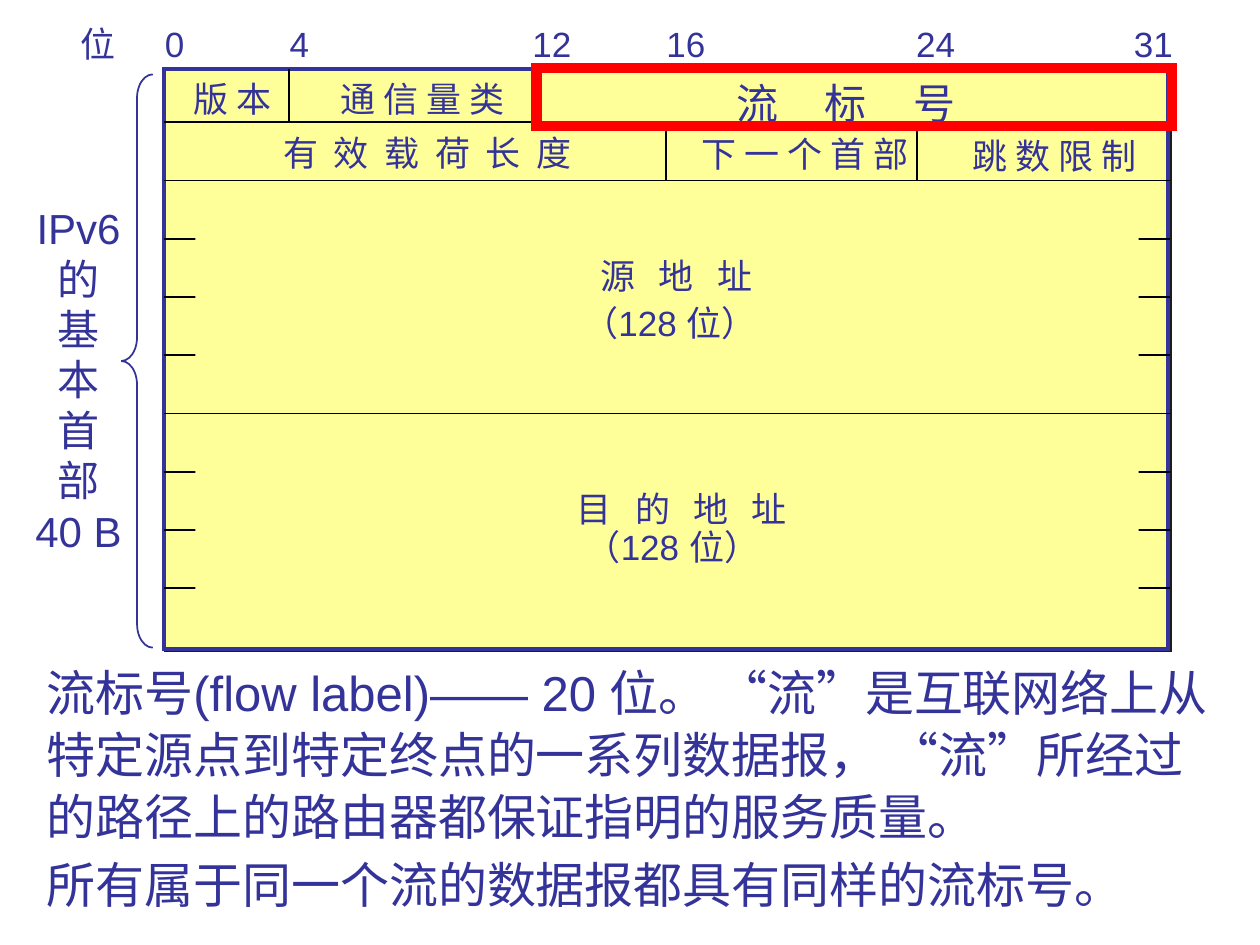
from lxml.etree import SubElement
from pptx import Presentation
from pptx.dml.color import RGBColor
from pptx.enum.shapes import MSO_CONNECTOR, MSO_SHAPE
from pptx.enum.text import MSO_AUTO_SIZE as AutoSize, PP_ALIGN as Align
from pptx.oxml.ns import qn
from pptx.util import Pt

BLUE, YELLOW, RED, BLACK, SHADOW = "333399", "FFFF99", "FF0000", "000000", "1C1C1C"
FIRST_ROW, ROW = 30.2, 33.3
BITS, ROWS = 32, 10
SPACE_WIDTH = 0.22  # share of the font size


def color(value):
    return RGBColor.from_string(value)


def add_shape(page, kind, left, top, width, height, fill=None, line=None, weight=1):
    shape = page.shapes.add_shape(kind, Pt(left), Pt(top), Pt(width), Pt(height))
    shape.shadow.inherit = False
    if fill:
        shape.fill.solid()
        shape.fill.fore_color.rgb = color(fill)
    else:
        shape.fill.background()
    if line:
        shape.line.color.rgb = color(line)
        shape.line.width = Pt(weight)
        SubElement(shape._element.spPr.find(qn("a:ln")), qn("a:miter"), lim="800000")
    else:
        shape.line.fill.background()
    return shape


def add_line(page, x1, y1, x2, y2):
    line = page.shapes.add_connector(MSO_CONNECTOR.STRAIGHT, Pt(x1), Pt(y1), Pt(x2), Pt(y2))
    line.line.color.rgb = color(BLACK)
    line.line.width = Pt(1)
    SubElement(line._element.spPr, qn("a:effectLst"))


def add_text(page, lines, left, top, width, height, size=20, gap=1, align=Align.LEFT, wrap=False):
    """Write one paragraph per line; gap is the width of a word gap, in spaces."""
    box = page.shapes.add_textbox(Pt(left), Pt(top), Pt(width), Pt(height))
    frame = box.text_frame
    frame.word_wrap = wrap
    frame.auto_size = AutoSize.SHAPE_TO_FIT_TEXT
    for index, text in enumerate(lines):
        para = frame.add_paragraph() if index else frame.paragraphs[0]
        para.alignment = align
        para.font.size = Pt(size)
        para.font.name = "Arial"
        para.font.color.rgb = color(BLUE)
        if gap == 1:
            para.add_run().text = text
            continue
        # The last letter stays untracked, so the label keeps its true width
        tracking = (gap - 1) / 2 * SPACE_WIDTH * size
        for part in (text[:-1], text[-1]):
            span = para.add_run()
            span.text = part
            if part == text[:-1]:
                span._r.get_or_add_rPr().set("spc", str(round(tracking * 100)))
    return frame


def add_bit_scale(page, left, top):
    for text, offset, width in (("位", -54.7, 34.6), ("0", -6.5, 25.2), ("4", 64.8, 25.2),
                                ("12", 203.5, 36.7), ("16", 280.1, 36.7),
                                ("24", 422.8, 36.7), ("31", 547.2, 36.7)):
        add_text(page, [text], left + offset, top, width, 31)


def add_header_table(page, left, top, width, height):
    def bit_x(bit):
        return left + width * bit / BITS

    def row_y(row):
        return top + FIRST_ROW + ROW * (row - 1) if row else top

    frame = add_shape(page, MSO_SHAPE.RECTANGLE, left, top, width, height, YELLOW, BLUE, 2.25)
    effects = frame._element.spPr.find(qn("a:effectLst"))
    shadow = SubElement(effects, qn("a:outerShdw"), dist=str(Pt(1.4)), dir="2700000",
                        algn="ctr", rotWithShape="0")
    SubElement(shadow, qn("a:srgbClr"), val=SHADOW)

    for row in range(1, ROWS):
        add_line(page, left, row_y(row), left + width + 1, row_y(row))
    for row, bit in ((0, 4), (0, 12), (1, 16), (1, 24)):
        add_line(page, bit_x(bit), row_y(row), bit_x(bit), row_y(row + 1))
    # Each address field hides the middle of its row lines, leaving ticks
    for row in (2, 6):
        add_shape(page, MSO_SHAPE.RECTANGLE, left + 18, row_y(row) + 22,
                  width - 35, ROW * 4 - 44, YELLOW)

    for text, x, y, label_width, size, gap in (
            ("版 本", 9.7, 1.4, 59, 20, 1),
            ("通 信 量 类", 94, 1.4, 108, 20, 1),
            ("流 标 号", 320, 1.4, 144, 24, 5),
            ("有 效 载 荷 长 度", 61.2, 32, 183, 20, 2),
            ("下 一 个 首 部", 300.2, 32.8, 132.5, 20, 1),
            ("跳 数 限 制", 455, 33.8, 108, 20, 1),
            ("源 地 址", 242.6, 102.2, 105, 20, 3),
            ("（128 位）", 232.6, 128.9, 123, 20, 1),
            ("目 的 地 址", 229, 235.4, 138, 20, 3),
            ("（128 位）", 234, 257, 123, 20, 1)):
        add_text(page, [text], left + x, top + y, label_width, size * 1.5, size, gap)

    add_shape(page, MSO_SHAPE.RECTANGLE, bit_x(12) - 2.2, top - 0.7, 363, 33.1, line=RED, weight=6)


def add_side_label(page, left, top, width, height):
    brace = add_shape(page, MSO_SHAPE.LEFT_BRACE, left + width - 18, top, 18, height, line=BLUE)
    brace.adjustments[0] = 0.75
    brace.adjustments[1] = 0.5
    add_text(page, ["IPv6", *"的基本首部", "40 B"], left - 3.3, top + 69.8, 70, 237.6,
             24, align=Align.CENTER)


def add_explanation(page, left, top, width, height):
    frame = add_text(page, [
        "流标号(flow label)—— 20 位。 “流”是互联网络上从特定源点到特定终点的一系列数据报，"
        " “流”所经过的路径上的路由器都保证指明的服务质量。",
        "所有属于同一个流的数据报都具有同样的流标号。",
    ], left, top, width, height, 28, wrap=True)
    for para in frame.paragraphs:
        para.line_spacing = 1.05
    frame.paragraphs[1].space_before = Pt(3.5)


def main():
    deck = Presentation()
    deck.slide_width, deck.slide_height = Pt(720), Pt(540)
    page = deck.slides.add_slide(deck.slide_layouts[6])
    add_header_table(page, 93.6, 39.6, 574, 331.2)
    add_bit_scale(page, 93.6, 9.4)
    add_side_label(page, 13.2, 42.5, 74.1, 327.6)
    add_explanation(page, 19.6, 373.5, 680.4, 152)
    deck.save("out.pptx")


if __name__ == "__main__":
    main()
